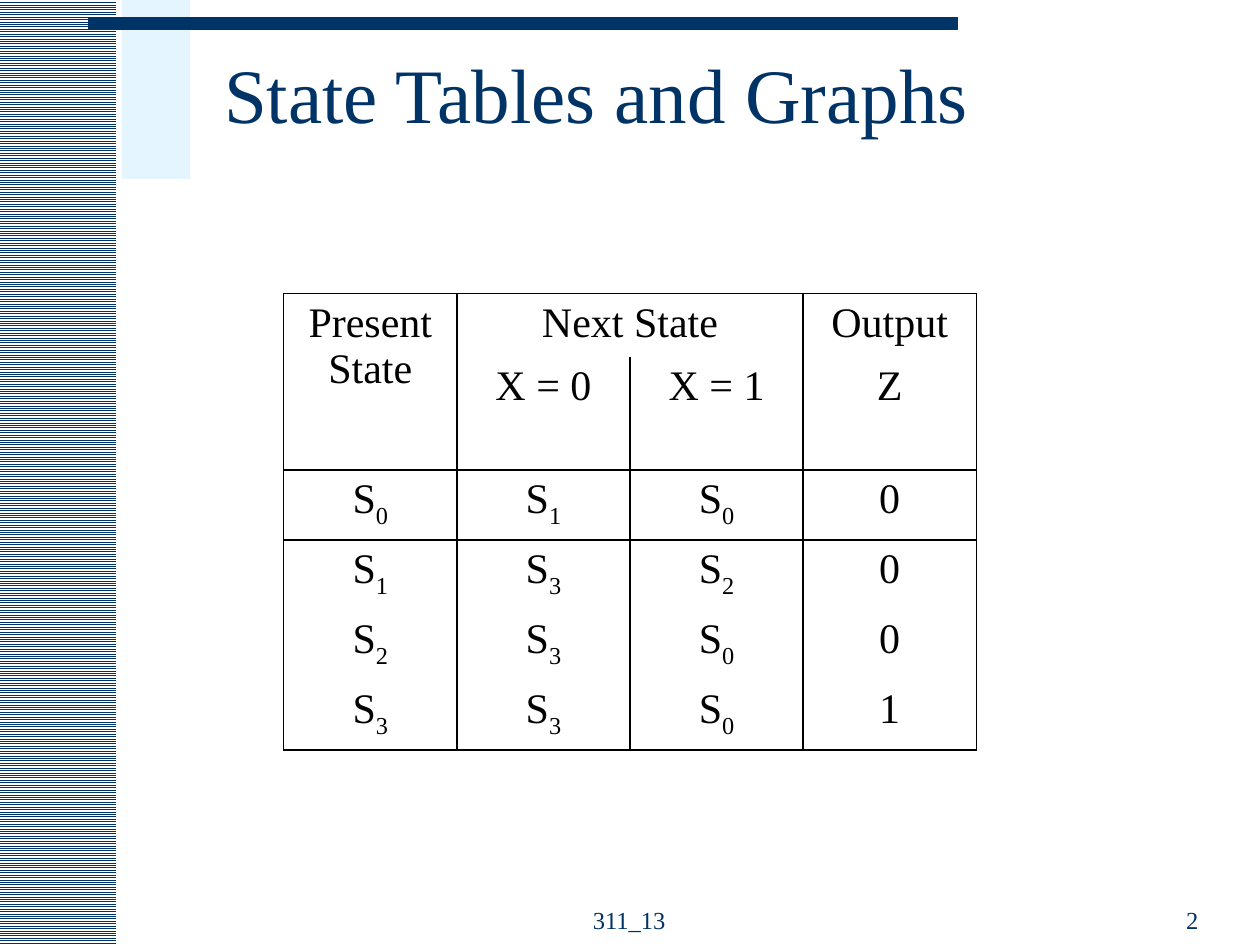
from lxml import etree
from pptx import Presentation
from pptx.dml.color import RGBColor
from pptx.enum.dml import MSO_PATTERN
from pptx.enum.shapes import MSO_SHAPE
from pptx.enum.text import MSO_ANCHOR, PP_ALIGN
from pptx.oxml.ns import qn
from pptx.util import Cm, Pt

NAVY = RGBColor(0x00, 0x33, 0x66)
PALE = RGBColor(0xCC, 0xEC, 0xFF)
WHITE = RGBColor(0xFF, 0xFF, 0xFF)
BLACK = RGBColor(0x00, 0x00, 0x00)
RECT = MSO_SHAPE.RECTANGLE
STRIPES = MSO_PATTERN.LIGHT_HORIZONTAL
LEFT, CENTER, RIGHT = PP_ALIGN.LEFT, PP_ALIGN.CENTER, PP_ALIGN.RIGHT
MIDDLE, BOTTOM = MSO_ANCHOR.MIDDLE, MSO_ANCHOR.BOTTOM
FONT = "Times New Roman"

# Content: text, box in cm, size, alignment, anchor, line spacing
TEXTS = [
    ("311_13", (10.36, 17.7, 4.65, 1.27), 14, CENTER, BOTTOM, 1.0),
    ("2", (18.31, 17.7, 6.1, 1.27), 14, RIGHT, BOTTOM, 1.0),
    ("State Tables and Graphs", (4.27, 0.43, 20.5, 3.18), 44, LEFT, MIDDLE, 0.85),
]
# An underscore starts a subscript
STATE_TABLE = [
    ["Present State", "Next State", "", "Output"],
    ["", "X = 0", "X = 1", "Z"],
    ["S_0", "S_1", "S_0", "0"],
    ["S_1", "S_3", "S_2", "0"],
    ["S_2", "S_3", "S_0", "0"],
    ["S_3", "S_3", "S_0", "1"],
]
MERGES = [((0, 0), (1, 0)), ((0, 1), (0, 2))]
ROW_HEIGHTS = [1.19, 2.13] + [1.32] * 4
COL_WIDTH = 3.49
RULED_BELOW = {1, 2, 5}  # rows with a line under them


def add_rect(s, *box):
    sp = s.shapes.add_shape(RECT, *map(Cm, box))
    sp.shadow.inherit = False
    sp.line.fill.background()
    return sp


def add_run(p, text, size, color):
    r = p.add_run()
    r.text = text
    for name, value in {"name": FONT, "size": Pt(size)}.items():
        setattr(r.font, name, value)
    r.font.color.rgb = color
    return r


def set_border(cell, side, shown):
    ln = etree.SubElement(cell._tc.get_or_add_tcPr(), qn("a:ln" + side), w=str(Pt(1)))
    if shown:
        fill = etree.SubElement(ln, qn("a:solidFill"))
        etree.SubElement(fill, qn("a:srgbClr"), val=str(BLACK))
    else:
        etree.SubElement(ln, qn("a:noFill"))


prs = Presentation()
prs.slide_width, prs.slide_height = Cm(25.4), Cm(19.05)
s = prs.slides.add_slide(prs.slide_layouts[6])

# Striped side band
band = add_rect(s, 0, 0, 2.34, 19.05)
band.fill.patterned()
band.fill.pattern = STRIPES
band.fill.fore_color.rgb = NAVY
band.fill.back_color.rgb = WHITE

# Half-transparent pale block
block = add_rect(s, 2.46, 0, 1.37, 3.61)
block.fill.solid()
block.fill.fore_color.rgb = PALE
color = block.fill._xPr.find(".//" + qn("a:srgbClr"))
etree.SubElement(color, qn("a:alpha"), val="50000")

# Top bar
bar = add_rect(s, 1.78, 0.36, 17.53, 0.23)
bar.fill.solid()
bar.fill.fore_color.rgb = NAVY
bar.line.color.rgb = NAVY
bar.line.width = Pt(0.75)

# Title and footer
for text, box, size, align, anchor, spacing in TEXTS:
    tf = s.shapes.add_textbox(*map(Cm, box)).text_frame
    tf.word_wrap = True
    tf.vertical_anchor = anchor
    p = tf.paragraphs[0]
    p.alignment, p.line_spacing = align, spacing
    add_run(p, text, size, NAVY)

# State table
rows, cols = len(STATE_TABLE), len(STATE_TABLE[0])
table = s.shapes.add_table(rows, cols, Cm(5.72), Cm(5.92),
                           Cm(COL_WIDTH * cols), Cm(sum(ROW_HEIGHTS))).table
table.first_row = table.horz_banding = False
for row, height in zip(table.rows, ROW_HEIGHTS):
    row.height = Cm(height)
for col in table.columns:
    col.width = Cm(COL_WIDTH)
for first, last in MERGES:
    table.cell(*first).merge(table.cell(*last))

for i, line in enumerate(STATE_TABLE):
    for j, text in enumerate(line):
        cell = table.cell(i, j)
        end = i + cell.span_height - 1 if cell.is_merge_origin else i
        split = (i, j) != (0, 1)  # the merged header has no inner line
        set_border(cell, "L", (i, j) != (0, 2))
        set_border(cell, "R", split or cell.is_merge_origin)
        set_border(cell, "T", i == 0 or i - 1 in RULED_BELOW)
        set_border(cell, "B", end in RULED_BELOW)
        cell.fill.background()
        p = cell.text_frame.paragraphs[0]
        p.alignment = CENTER
        base, _, sub = text.partition("_")
        if base:
            add_run(p, base, 24, BLACK)
        if sub:
            r = add_run(p, sub, 24, BLACK)
            r.font._element.set("baseline", "-25000")

prs.save("out.pptx")
